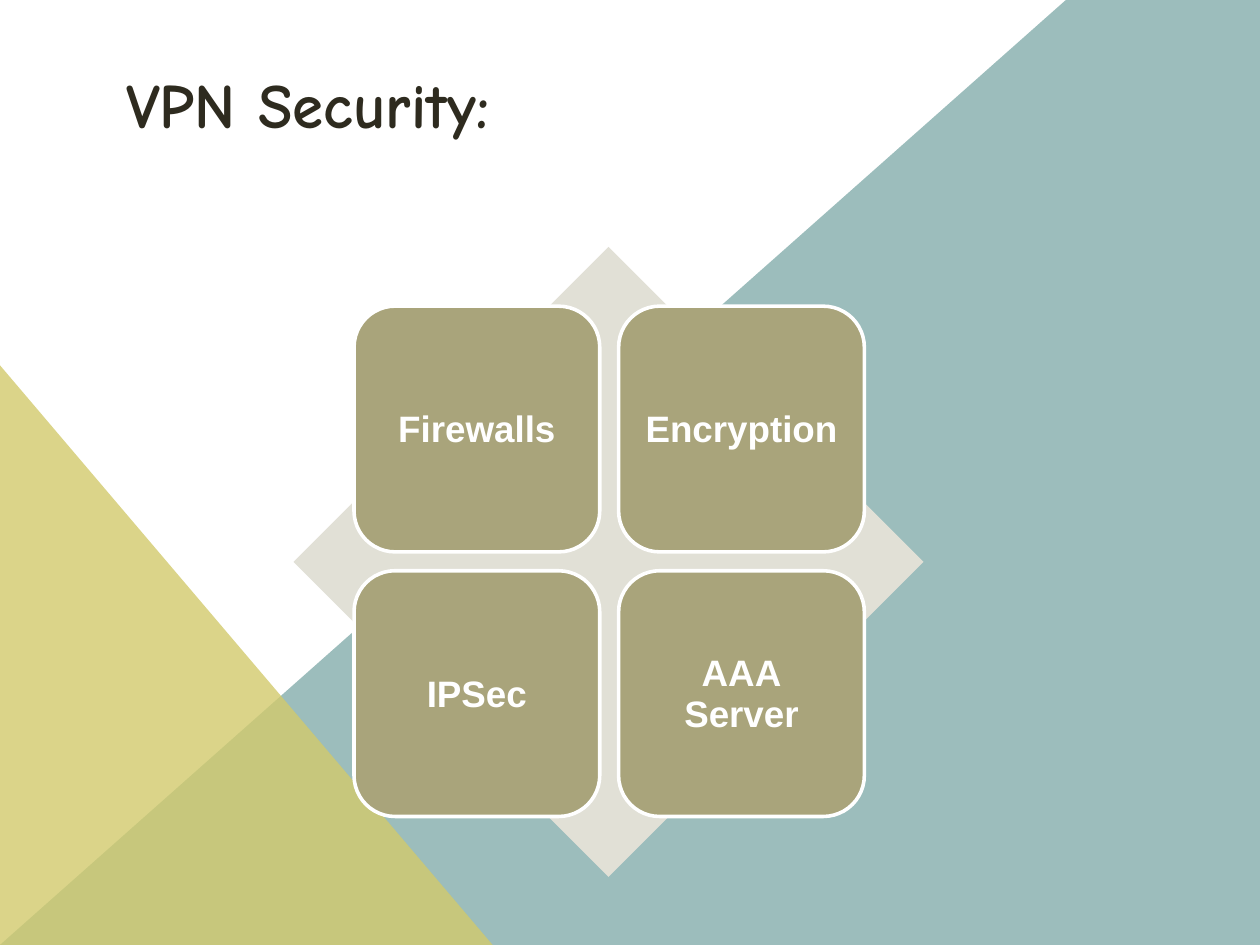
"""Build the VPN Security slide: a diamond behind a two-by-two grid of tiles."""
from lxml import etree
from pptx import Presentation
from pptx.dml.color import RGBColor
from pptx.enum.shapes import MSO_SHAPE
from pptx.enum.text import MSO_ANCHOR, MSO_AUTO_SIZE, PP_ALIGN
from pptx.oxml.ns import qn
from pptx.util import Inches, Pt

COLORS = {
    "teal": "9CBDBC",
    "yellow": "D2CA6C",
    "diamond": "E1E0D6",
    "tile": "A9A47B",
    "white": "FFFFFF",
    "title": "2E2B1F",
}


def write_text(shape, text, font, size, color, align, anchor, line_spacing=None):
    frame = shape.text_frame
    frame.margin_left = frame.margin_right = frame.margin_bottom = 0
    frame.margin_top = Inches(0.01)
    frame.word_wrap = True
    frame.auto_size = MSO_AUTO_SIZE.NONE
    frame.vertical_anchor = anchor
    frame.text = text
    for paragraph in frame.paragraphs:
        paragraph.alignment = align
        paragraph.line_spacing = line_spacing
        paragraph.font.name = font
        paragraph.font.size = Pt(size)
        paragraph.font.bold = True
        paragraph.font.color.rgb = RGBColor.from_string(COLORS[color])


def paint(shape, fill, line=None):
    shape.shadow.inherit = False
    shape.fill.solid()
    shape.fill.fore_color.rgb = RGBColor.from_string(COLORS[fill])
    if line:
        shape.line.color.rgb = RGBColor.from_string(COLORS[line])
        shape.line.width = Pt(2.04)
    else:
        shape.line.fill.background()


presentation = Presentation()
presentation.slide_width = Inches(10)
presentation.slide_height = Inches(7.5)
slide = presentation.slides.add_slide(presentation.slide_layouts[5])
shapes = slide.shapes

triangles = {
    "teal": [(10, 0), (8.46, 0), (0, 7.5), (10, 7.5)],
    "yellow": [(0, 2.9), (0, 7.5), (3.91, 7.5)],
}
for color, points in triangles.items():
    corners = [(Inches(x), Inches(y)) for x, y in points]
    builder = shapes.build_freeform(*corners[0])
    builder.add_line_segments(corners[1:], close=True)
    triangle = builder.convert_to_shape()
    paint(triangle, color)
fill_color = triangle.fill._xPr.find(qn("a:solidFill"))[0]
etree.SubElement(fill_color, qn("a:alpha"), val="80000")

title = shapes.title
title.left, title.top = Inches(1), Inches(0.51)
title.width, title.height = Inches(3.5), Inches(0.63)
write_text(title, "VPN Security:", font="Comic Neue", size=36, color="title",
           align=PP_ALIGN.LEFT, anchor=MSO_ANCHOR.TOP)

diamond = shapes.add_shape(MSO_SHAPE.DIAMOND, Inches(2.33), Inches(1.96), Inches(5), Inches(5))
paint(diamond, "diamond")

tile_size, tile_pitch = 1.95, 2.1
labels = ["Firewalls", "Encryption", "IPSec", "AAA\nServer"]
for index, label in enumerate(labels):
    row, column = divmod(index, 2)
    tile = shapes.add_shape(
        MSO_SHAPE.ROUNDED_RECTANGLE,
        Inches(2.81 + column * tile_pitch), Inches(2.43 + row * tile_pitch),
        Inches(tile_size), Inches(tile_size),
    )
    paint(tile, "tile", line="white")
    write_text(tile, label, font="Arial", size=21, color="white",
               align=PP_ALIGN.CENTER, anchor=MSO_ANCHOR.MIDDLE, line_spacing=Pt(23.4))

presentation.save("out.pptx")
